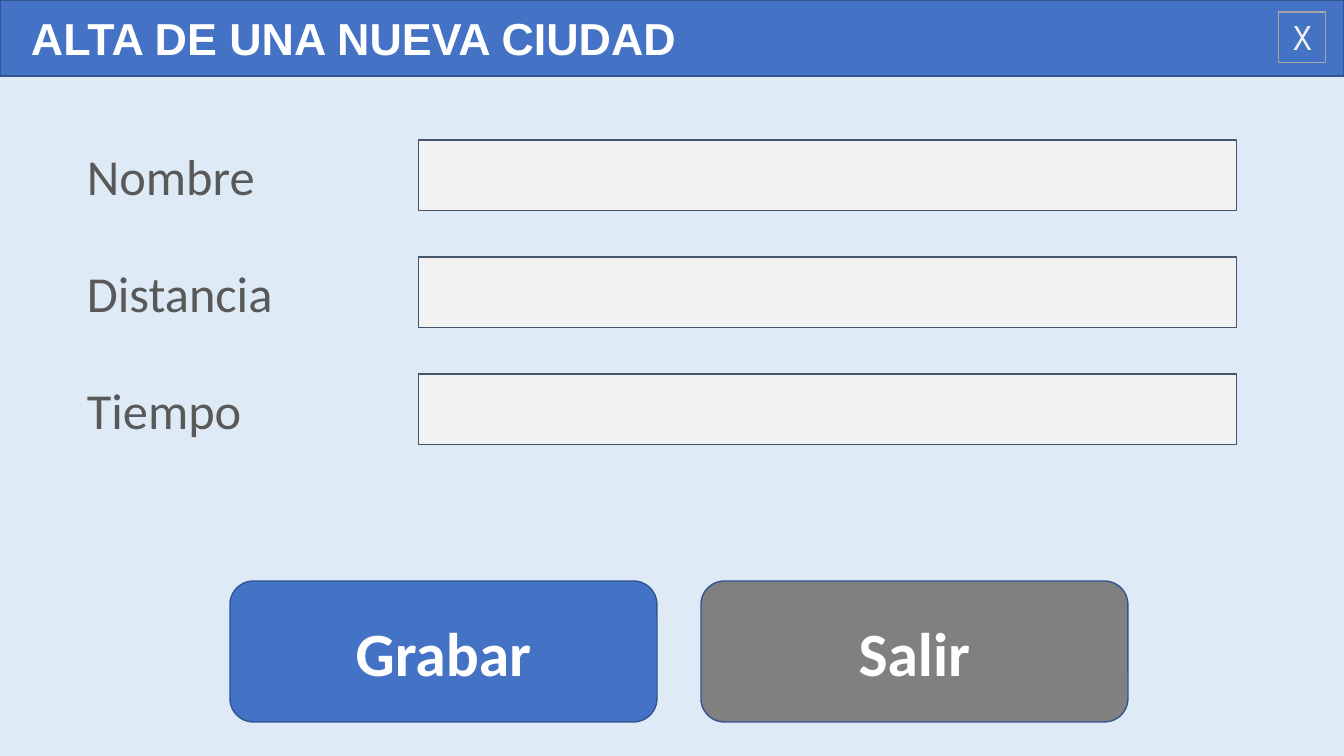
from pptx import Presentation
from pptx.dml.color import RGBColor
from pptx.enum import shapes, text
from pptx.util import Pt

# Content
TITLE = "ALTA DE UNA NUEVA CIUDAD"
CLOSE = "X"
FIELDS = ["Nombre", "Distancia", "Tiempo"]

SKY = RGBColor(0xDE, 0xEB, 0xF7)
BLUE = RGBColor(0x44, 0x72, 0xC4)
NAVY = RGBColor(0x32, 0x54, 0x91)
GREY = RGBColor(0x80, 0x80, 0x80)
SLATE = RGBColor(0x44, 0x54, 0x6A)
SILVER = RGBColor(0xA5, 0xA5, 0xA5)
PALE = RGBColor(0xF2, 0xF2, 0xF2)
INK = RGBColor(0x59, 0x59, 0x59)
WHITE = RGBColor(0xFF, 0xFF, 0xFF)

BUTTONS = [("Grabar", BLUE), ("Salir", GREY)]

# Layout in px
WIDTH, HEIGHT = 1344, 756
SCALE = 12192000 / WIDTH
HEADER_HEIGHT = 76
FIELD_TOP, FIELD_PITCH = 140, 117
BUTTON_LEFT, BUTTON_PITCH = 230, 471


def px(length):
    return round(length * SCALE)


deck = Presentation()
deck.slide_width, deck.slide_height = px(WIDTH), px(HEIGHT)
slide = deck.slides.add_slide(deck.slide_layouts[6])
slide.background.fill.solid()
slide.background.fill.fore_color.rgb = SKY


def add_box(kind, place, fill, line, weight):
    box = slide.shapes.add_shape(kind, *map(px, place))
    box.shadow.inherit = False
    if fill is None:
        box.fill.background()
    else:
        box.fill.solid()
        box.fill.fore_color.rgb = fill
    box.line.color.rgb = line
    box.line.width = Pt(weight)
    return box


def write(holder, words, size, font, color, bold=False,
          align=text.PP_ALIGN.LEFT, anchor=text.MSO_ANCHOR.MIDDLE):
    frame = holder.text_frame
    frame.word_wrap = True
    frame.vertical_anchor = anchor
    line = frame.paragraphs[0]
    line.text = words
    line.alignment = align
    line.font.size, line.font.name, line.font.bold = Pt(size), font, bold
    line.font.color.rgb = color


RECT = shapes.MSO_SHAPE.RECTANGLE
ROUNDED = shapes.MSO_SHAPE.ROUNDED_RECTANGLE
CENTER = text.PP_ALIGN.CENTER
TOP = text.MSO_ANCHOR.TOP

# Title bar with close button
header = add_box(RECT, (0, 0, WIDTH, HEADER_HEIGHT), BLUE, NAVY, 1)
write(header, TITLE, 32, "Arial", WHITE, bold=True)
header.text_frame.margin_left = px(31)

close = add_box(RECT, (1279, 12, 47, 51), None, SILVER, 0.75)
write(close, CLOSE, 24, "Noto Sans Mono", PALE, align=CENTER, anchor=TOP)

# Form rows: label and empty field
for row, name in enumerate(FIELDS):
    top = FIELD_TOP + row * FIELD_PITCH
    label = slide.shapes.add_textbox(*map(px, (77, top, 326, 71)))
    write(label, name, 36, "Calibri", INK, anchor=TOP)
    add_box(RECT, (419, top, 818, 71), PALE, SLATE, 0.75)

# Action buttons
for column, (action, fill) in enumerate(BUTTONS):
    left = BUTTON_LEFT + column * BUTTON_PITCH
    button = add_box(ROUNDED, (left, 581, 427, 141), fill, NAVY, 1)
    write(button, action, 44, "Calibri", WHITE, bold=True, align=CENTER)

deck.save("out.pptx")
